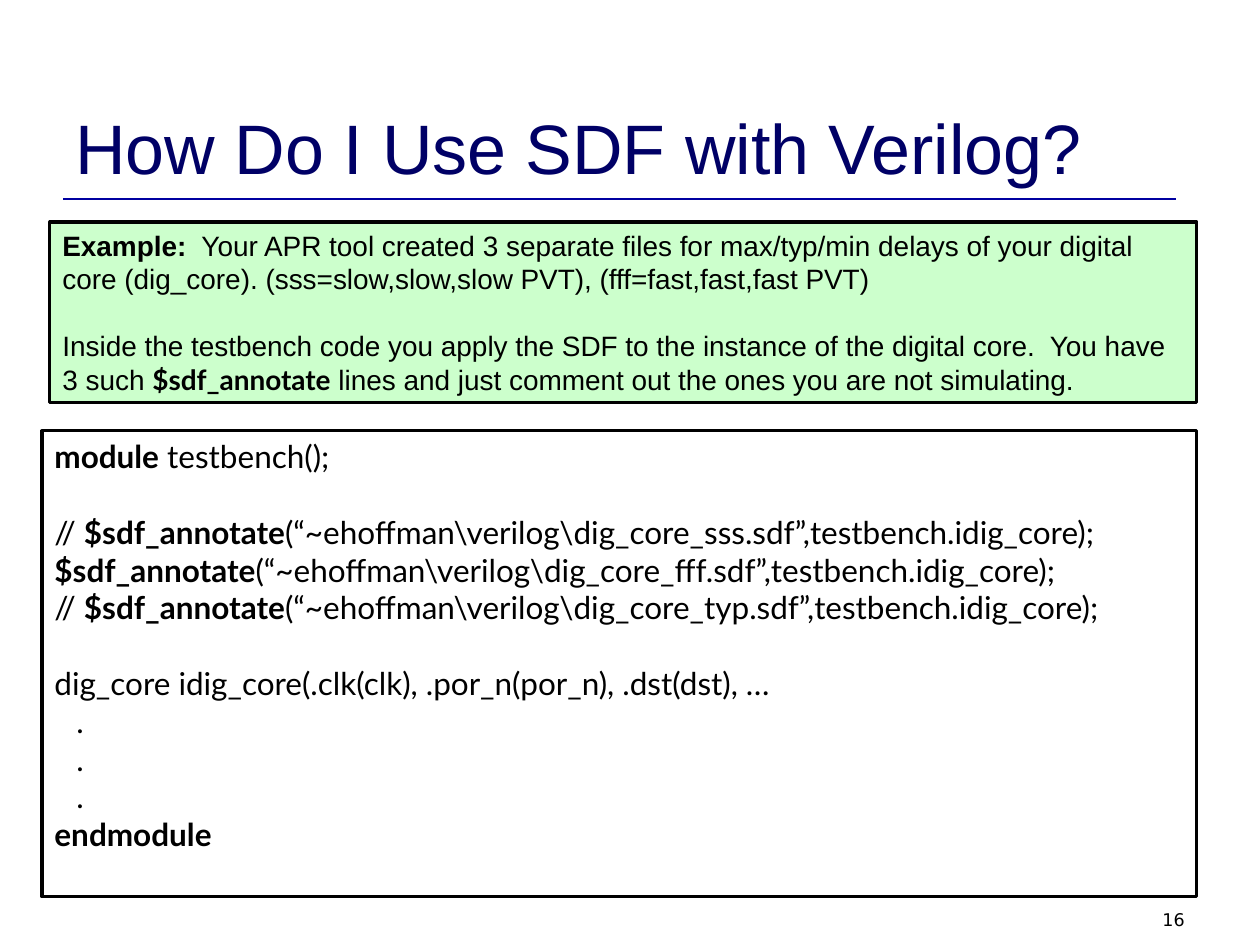
import pptx
import pptx.dml.color
import pptx.enum.shapes
import pptx.enum.text
import pptx.oxml
import pptx.oxml.ns
import pptx.util

PX = 914400 / 126
ALIGN = pptx.enum.text.PP_ALIGN
ANCHOR = pptx.enum.text.MSO_ANCHOR


class Theme:
    ink, navy, blue, mint = "000000", "000066", "0000A0", "CCFFCC"
    sans, code, plain = "Arial", "Lato", "DejaVu Sans"
    head, body, note, foot = 40, 18, 16, 10
    edge, rule = 1.75, 1.5


def emu(*sizes):
    return [pptx.util.Emu(round(n * PX)) for n in sizes]


def rgb(tone):
    return pptx.dml.color.RGBColor.from_string(tone)


def write(frame, runs, first=False, font=Theme.sans, size=Theme.body,
          color=Theme.ink, align=ALIGN.LEFT, before=0, indent=0):
    """Add a paragraph; each run is a string or (string, font) for bold."""
    para = frame.paragraphs[0] if first else frame.add_paragraph()
    para.alignment = align
    para.space_before = pptx.util.Pt(before)
    if indent:
        para._p.get_or_add_pPr().set("marL", str(emu(indent)[0]))
    for part in runs:
        bold = isinstance(part, tuple)
        run = para.add_run()
        run.text, face = part if bold else (part, font)
        run.font.name = face
        run.font.size = pptx.util.Pt(size)
        run.font.bold = bold
        run.font.color.rgb = rgb(color)


def label(slide, box, text, anchor=ANCHOR.TOP, **style):
    frame = slide.shapes.add_textbox(*emu(*box)).text_frame
    frame.word_wrap = True
    frame.vertical_anchor = anchor
    write(frame, [text], first=True, **style)


def panel(slide, box, fill=None):
    """Draw an outlined rectangle and return its text frame."""
    kind = pptx.enum.shapes.MSO_SHAPE.RECTANGLE
    shape = slide.shapes.add_shape(kind, *emu(*box))
    shape.shadow.inherit = False
    if fill:
        shape.fill.solid()
        shape.fill.fore_color.rgb = rgb(fill)
    else:
        shape.fill.background()
    shape.line.color.rgb = rgb(Theme.ink)
    shape.line.width = pptx.util.Pt(Theme.edge)
    frame = shape.text_frame
    frame.word_wrap = True
    frame.vertical_anchor = ANCHOR.TOP
    return frame


def header(slide, box):
    left, top, width, height = box
    kind = pptx.enum.shapes.MSO_CONNECTOR.STRAIGHT
    base = top + height + 4
    rule = slide.shapes.add_connector(
        kind, *emu(left, base, left + width - 21, base))
    rule.line.color.rgb = rgb(Theme.blue)
    rule.line.width = pptx.util.Pt(Theme.rule)
    rule._element.spPr.append(
        pptx.oxml.parse_xml("<a:effectLst %s/>" % pptx.oxml.ns.nsdecls("a")))
    label(slide, box, "How Do I Use SDF with Verilog?", anchor=ANCHOR.BOTTOM,
          size=Theme.head, color=Theme.navy)


def listing(slide, box):
    frame = panel(slide, box)
    gap = Theme.body * 1.2
    call = ("$sdf_annotate", Theme.code)

    def code(*runs, **style):
        write(frame, runs, font=Theme.code, **style)

    code(("module", Theme.code), " testbench();", first=True)
    for mark, case, before in (("// ", "sss", gap), ("", "fff", 0),
                               ("// ", "typ", 0)):
        path = f"(“~ehoffman\\verilog\\dig_core_{case}.sdf”,testbench.idig_core);"
        code(*([mark] if mark else []), call, path, before=before)
    code("dig_core idig_core(.clk(clk), .por_n(por_n), .dst(dst), …",
         before=gap)
    for _ in range(3):
        code(".", indent=22)
    code(("endmodule", Theme.code))


def example(slide, box):
    frame = panel(slide, box, fill=Theme.mint)
    write(frame, [("Example:", Theme.sans),
                  "  Your APR tool created 3 separate files for max/typ/min "
                  "delays of your digital core (dig_core). "
                  "(sss=slow,slow,slow PVT), (fff=fast,fast,fast PVT)"],
          first=True, size=Theme.note)
    write(frame, ["Inside the testbench code you apply the SDF to the instance "
                  "of the digital core.  You have 3 such ",
                  ("$sdf_annotate", Theme.code),
                  " lines and just comment out the ones you are not simulating."],
          size=Theme.note, before=Theme.note * 1.2)


def main():
    deck = pptx.Presentation()
    deck.slide_width, deck.slide_height = emu(1260, 945)
    slide = deck.slides.add_slide(deck.slide_layouts[6])
    header(slide, (63, 38, 1134, 157))
    listing(slide, (42, 431, 1155, 466))
    example(slide, (50, 222, 1147, 181))
    label(slide, (903, 903, 294, 32), "16", font=Theme.plain,
          size=Theme.foot, align=ALIGN.RIGHT)
    deck.save("out.pptx")


if __name__ == "__main__":
    main()
